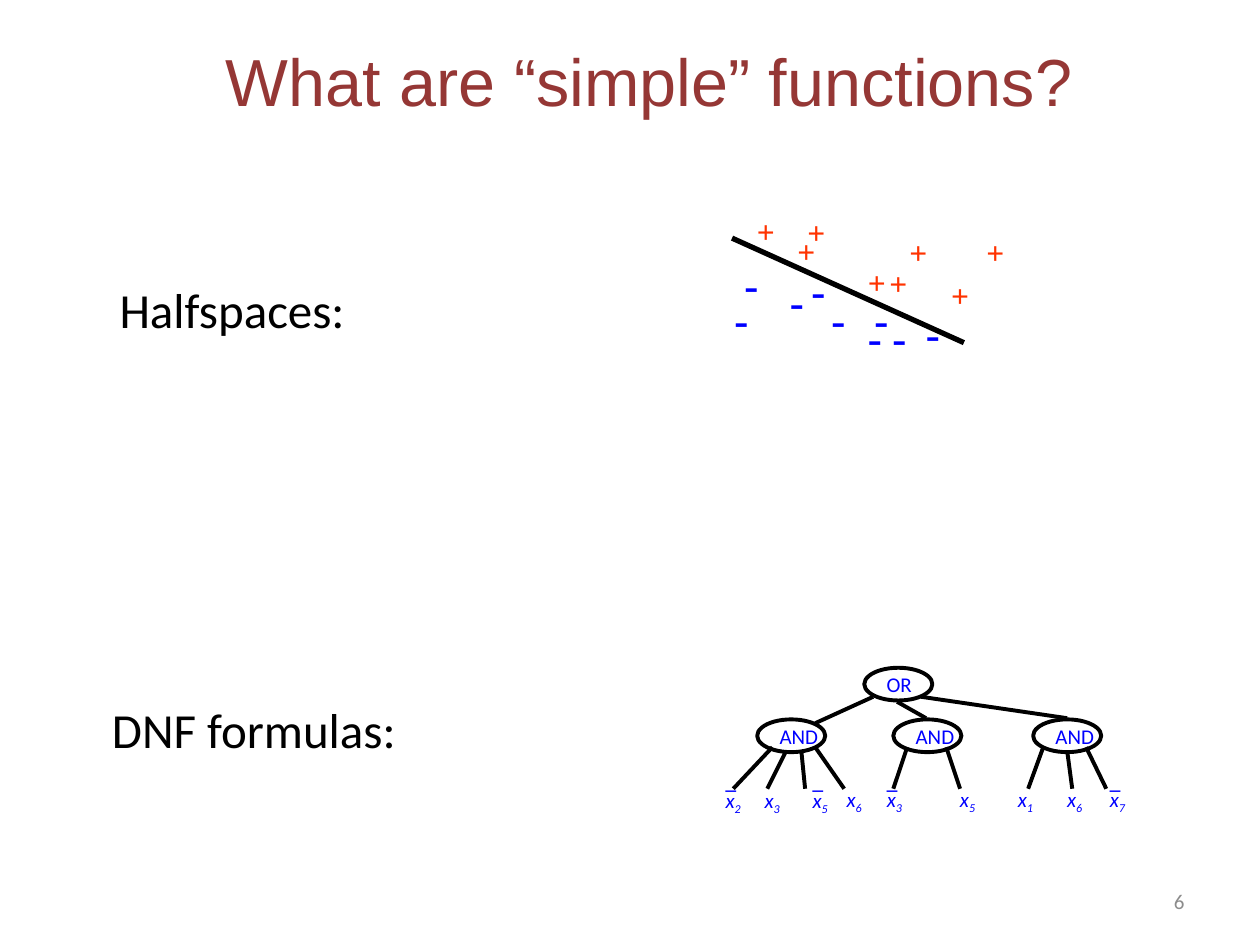
from dataclasses import dataclass

from pptx import Presentation
from pptx import util as u
from pptx.dml.color import RGBColor
from pptx.enum import shapes, text
from pptx.oxml.ns import qn

BLACK, BLUE, RED = "000000", "0000FF", "FF3300"
GATE_W, GATE_H = 0.54, 0.26
GATE_TOP, BRANCH_END = 5.71, 6.26


@dataclass
class Style:
    font: str
    size: float
    color: str
    bold: bool = False
    italic: bool = False


@dataclass
class Literal:
    left: float
    top: float
    index: str
    negated: bool = False


@dataclass
class Term:
    """An AND gate: the line from OR, its branches and its literals."""
    left: float
    from_or: tuple[float, float, float, float]
    branches: list[tuple[float, float, float]]  # start x, start y, end x
    literals: list[Literal]


HEADING = Style("Arial", 38, "953735")
LABEL = Style("Calibri", 28, BLACK)
GATE = Style("Calibri", 12, BLUE)
VARIABLE = Style("Calibri", 12, BLUE, italic=True)
OVERBAR = Style("Times New Roman", 12, BLUE, bold=True)
PLUS = Style("Times New Roman", 18, RED, bold=True)
MINUS = Style("Times New Roman", 24, BLUE, bold=True)
NUMBER = Style("Calibri", 12, "8C8C8C")

TERMS = [
    Term(6.01, (6.93, 5.53, 6.47, 5.74),
         [(6.13, 5.93, 5.82), (6.24, 5.96, 6.09),
          (6.36, 5.96, 6.39), (6.47, 5.93, 6.70)],
         [Literal(5.66, 6.2, "2", True), Literal(5.97, 6.2, "3"),
          Literal(6.35, 6.2, "5", True), Literal(6.62, 6.19, "6")]),
    Term(7.09, (7.12, 5.57, 7.35, 5.70),
         [(7.20, 5.93, 7.09), (7.51, 5.93, 7.62)],
         [Literal(6.94, 6.19, "3", True), Literal(7.52, 6.19, "5")]),
    Term(8.20, (7.31, 5.53, 8.47, 5.70),
         [(8.28, 5.93, 8.16), (8.47, 5.96, 8.51), (8.62, 5.93, 8.78)],
         [Literal(7.98, 6.19, "1"), Literal(8.37, 6.19, "6"),
          Literal(8.71, 6.19, "7", True)]),
]

PLUS_SPOTS = [(6.79, 2.04), (6.23, 1.79), (6.31, 1.64), (5.91, 1.63),
              (7.12, 1.80), (7.45, 2.14), (7.73, 1.80), (6.96, 2.05)]
MINUS_SPOTS = [(5.81, 2.00), (5.73, 2.28), (6.17, 2.14), (6.84, 2.28),
               (6.50, 2.28), (7.25, 2.39), (6.34, 2.05)]


def rgb(color: str) -> RGBColor:
    return RGBColor.from_string(color)


def apply_style(paragraph, style: Style) -> None:
    font = paragraph.font
    font.name, font.size = style.font, u.Pt(style.size)
    font.bold, font.italic = style.bold, style.italic
    font.color.rgb = rgb(style.color)


def add_text(slide, words: str, left: float, top: float, width: float,
             height: float, style: Style):
    box = slide.shapes.add_textbox(*map(u.Inches, (left, top, width, height)))
    frame = box.text_frame
    frame.word_wrap = False
    frame.auto_size = text.MSO_AUTO_SIZE.SHAPE_TO_FIT_TEXT
    paragraph = frame.paragraphs[0]
    paragraph.add_run().text = words
    apply_style(paragraph, style)
    return box


def add_line(slide, x1: float, y1: float, x2: float, y2: float,
             weight: float = 2.25) -> None:
    line = slide.shapes.add_connector(shapes.MSO_CONNECTOR.STRAIGHT,
                                      *map(u.Inches, (x1, y1, x2, y2)))
    line.line.color.rgb = rgb(BLACK)
    line.line.width = u.Pt(weight)
    properties = line._element.spPr
    properties.append(properties.makeelement(qn("a:effectLst"), {}))


def add_gate(slide, name: str, left: float, top: float) -> None:
    gate = slide.shapes.add_shape(
        shapes.MSO_SHAPE.FLOWCHART_CONNECTOR,
        *map(u.Inches, (left, top, GATE_W, GATE_H)))
    gate.shadow.inherit = False
    gate.fill.solid()
    gate.fill.fore_color.rgb = rgb("FFFFFF")
    gate.line.color.rgb = rgb(BLACK)
    gate.line.width = u.Pt(2.25)
    frame = gate.text_frame
    frame.word_wrap = False
    frame.vertical_anchor = text.MSO_ANCHOR.MIDDLE
    paragraph = frame.paragraphs[0]
    paragraph.text = name
    paragraph.alignment = text.PP_ALIGN.LEFT
    apply_style(paragraph, GATE)


def add_literal(slide, literal: Literal) -> None:
    box = add_text(slide, "x", literal.left, literal.top, 0.35, 0.3, VARIABLE)
    subscript = box.text_frame.paragraphs[0].add_run()
    subscript.text = literal.index
    subscript._r.get_or_add_rPr().set("baseline", "-25000")
    if literal.negated:
        add_text(slide, "_", literal.left, 6.05, 0.28, 0.3, OVERBAR)


def add_title(slide) -> None:
    title = slide.shapes.title
    title.left, title.top = u.Inches(0.5), u.Inches(0.01)
    title.width, title.height = u.Inches(9.31), u.Inches(1.25)
    title.text_frame.vertical_anchor = text.MSO_ANCHOR.MIDDLE
    paragraph = title.text_frame.paragraphs[0]
    paragraph.text = "What are “simple” functions?"
    paragraph.alignment = text.PP_ALIGN.CENTER
    apply_style(paragraph, HEADING)


def add_halfspaces(slide) -> None:
    add_text(slide, "Halfspaces:", 0.85, 2.17, 2.01, 0.57, LABEL)
    add_line(slide, 5.81, 1.89, 7.65, 2.72, weight=3)
    for left, top in PLUS_SPOTS:
        add_text(slide, "+", left, top, 0.36, 0.43, PLUS)
    for left, top in MINUS_SPOTS:
        add_text(slide, "-", left, top, 0.31, 0.5, MINUS)
    add_text(slide, "- -", 6.79, 2.42, 0.51, 0.5, MINUS)


def add_dnf(slide) -> None:
    add_text(slide, "DNF formulas:", 0.79, 5.5, 2.48, 0.57, LABEL)
    add_gate(slide, "OR", 6.86, 5.3)
    for term in TERMS:
        add_gate(slide, "AND", term.left, GATE_TOP)
        add_line(slide, *term.from_or)
        for start_x, start_y, end_x in term.branches:
            add_line(slide, start_x, start_y, end_x, BRANCH_END)
        for literal in term.literals:
            add_literal(slide, literal)


def add_slide_number(slide) -> None:
    number = add_text(slide, "6", 7.17, 6.95, 2.33, 0.4, NUMBER)
    frame = number.text_frame
    frame.word_wrap = True
    frame.auto_size = text.MSO_AUTO_SIZE.NONE
    frame.vertical_anchor = text.MSO_ANCHOR.MIDDLE
    frame.paragraphs[0].alignment = text.PP_ALIGN.RIGHT


def main() -> None:
    deck = Presentation()
    deck.slide_width, deck.slide_height = u.Inches(10), u.Inches(7.5)
    slide = deck.slides.add_slide(deck.slide_layouts[5])  # title only
    add_title(slide)
    add_dnf(slide)
    add_halfspaces(slide)
    add_slide_number(slide)
    deck.save("out.pptx")


if __name__ == "__main__":
    main()
